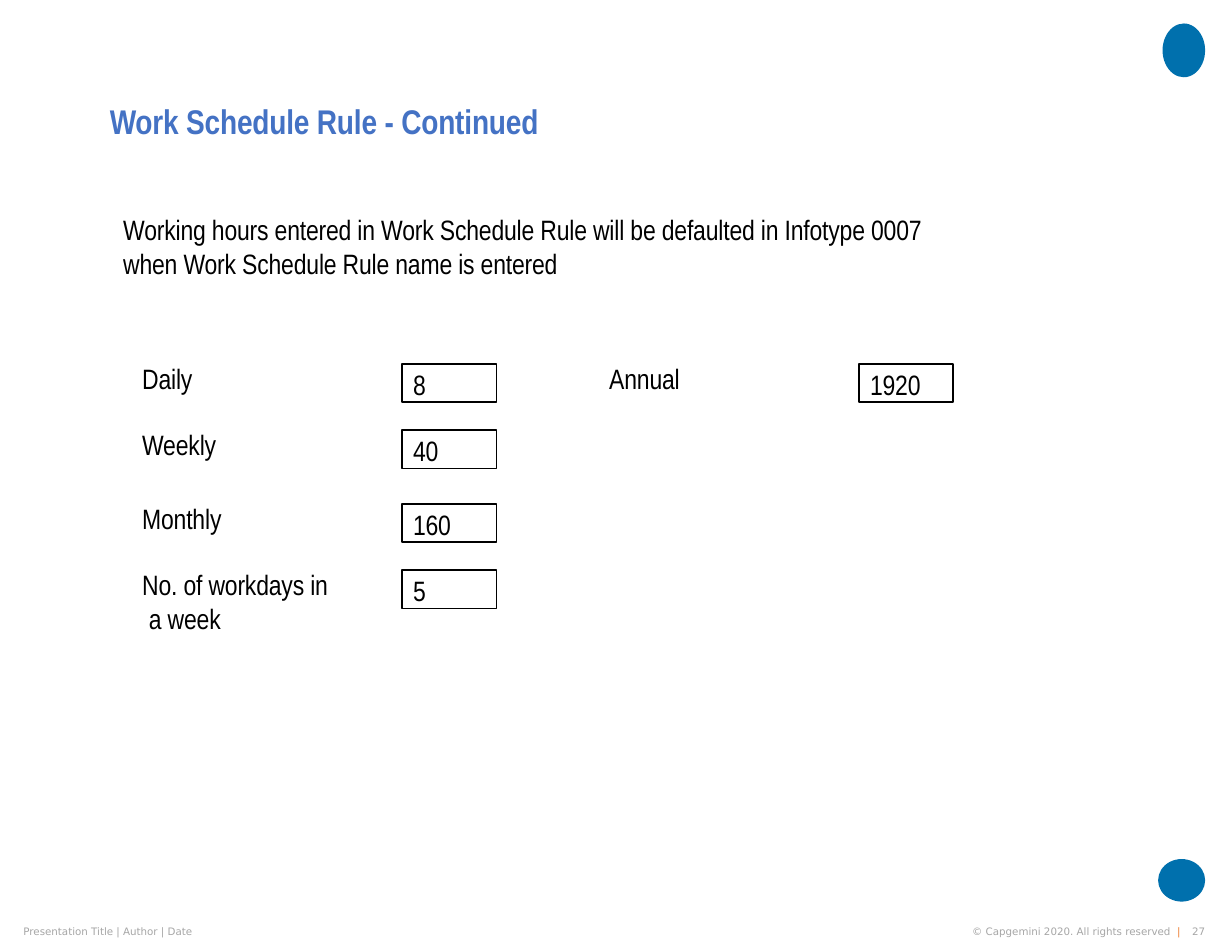
from pptx import Presentation
from pptx.dml.color import RGBColor
from pptx.enum.shapes import MSO_SHAPE as Shape
from pptx.enum.text import MSO_ANCHOR as Anchor, PP_ALIGN as Align
from pptx.util import Inches, Pt

COLORS = {
    "title": "4472C4",
    "ink": "000000",
    "footer": "A6A6A6",
    "divider": "ED7D31",
    "mark": "0070AD",
}
BODY_FONT = "Arial Narrow"
FOOTER_FONT = "DejaVu Sans"


class ScheduleSlide:
    def __init__(self, deck):
        self.slide = deck.slides.add_slide(deck.slide_layouts[5])
        self.shapes = self.slide.shapes

    def color(self, name):
        return RGBColor.from_string(COLORS[name])

    def set_text(self, shape, runs, size, font, align=Align.LEFT, anchor=Anchor.TOP,
                 insets=(0.01, 0.03), bold=False, spacing=0, hanging=0):
        frame = shape.text_frame
        frame.word_wrap = True
        frame.vertical_anchor = anchor
        frame.margin_left, frame.margin_top = map(Inches, insets)
        frame.margin_right = frame.margin_bottom = 0
        paragraph = frame.paragraphs[0]
        paragraph.alignment = align
        if hanging:
            properties = paragraph._p.get_or_add_pPr()
            properties.set("marL", str(Inches(hanging)))
            properties.set("indent", str(-Inches(hanging)))
        for text, color in runs:
            run = paragraph.add_run()
            run.text = text
            run.font.size = Pt(size)
            run.font.name = font
            run.font.bold = bold
            run.font.color.rgb = self.color(color)
            if spacing:
                run._r.get_or_add_rPr().set("spc", str(spacing))

    def title(self, text, left, top, width, height):
        heading = self.shapes.title
        heading.left, heading.top = Inches(left), Inches(top)
        heading.width, heading.height = Inches(width), Inches(height)
        self.set_text(heading, [(text, "title")], 22, BODY_FONT,
                      anchor=Anchor.MIDDLE, bold=True, spacing=-10)

    def text_box(self, left, top, width, height):
        return self.shapes.add_textbox(
            Inches(left), Inches(top), Inches(width), Inches(height))

    def body(self, text, left, top, width, height=0.33, hanging=0):
        self.set_text(self.text_box(left, top, width, height), [(text, "ink")],
                      18, BODY_FONT, spacing=-10, hanging=hanging)

    def footer(self, runs, left, top, width, height, align=Align.LEFT):
        self.set_text(self.text_box(left, top, width, height), runs, 6.6,
                      FOOTER_FONT, align, Anchor.MIDDLE, insets=(0, 0))

    def preset(self, kind, left, top, width, height):
        shape = self.shapes.add_shape(
            kind, Inches(left), Inches(top), Inches(width), Inches(height))
        shape.shadow.inherit = False
        return shape

    def value_box(self, value, left, top):
        field = self.preset(Shape.RECTANGLE, left, top, 0.84, 0.34)
        field.fill.background()
        field.line.color.rgb = self.color("ink")
        field.line.width = Pt(0.75)
        self.set_text(field, [(value, "ink")], 18, BODY_FONT,
                      insets=(0.1, 0.03), spacing=-10)

    def mark(self, left, top, width, height):
        badge = self.preset(Shape.OVAL, left, top, width, height)
        badge.fill.solid()
        badge.fill.fore_color.rgb = self.color("mark")
        badge.line.fill.background()


def main():
    deck = Presentation()
    deck.slide_width, deck.slide_height = Inches(11), Inches(8.5)
    page = ScheduleSlide(deck)

    page.mark(10.38, 0.21, 0.38, 0.48)
    page.mark(10.34, 7.67, 0.42, 0.38)
    page.footer([("27", "footer")], 10.6, 8.26, 0.16, 0.11, Align.RIGHT)
    page.footer([("© Capgemini 2020. All rights reserved  ", "footer"),
                 ("|", "divider")], 8.14, 8.24, 2.4, 0.15, Align.RIGHT)
    page.footer([("Presentation Title | Author | Date", "footer")],
                0.21, 8.24, 4.26, 0.15)

    page.title("Work Schedule Rule - Continued", 0.97, 0.87, 5.95, 0.38)
    page.body("Working hours entered in Work Schedule Rule will be defaulted in "
              "Infotype 0007 when Work Schedule Rule name is entered",
              1.09, 1.87, 7.29, 0.63)

    label_left, value_left = 1.26, 3.59
    hours = [
        ("Daily", "8", 3.2, 0.48),
        ("Weekly", "40", 3.79, 0.7),
        ("Monthly", "160", 4.45, 0.74),
    ]
    for period, value, top, width in hours:
        page.body(period, label_left, top, width)
        page.value_box(value, value_left, top + 0.05)

    page.body("No. of workdays in a week", label_left, 5.04, 1.72, 0.63, hanging=0.06)
    page.value_box("5", value_left, 5.09)
    page.body("Annual", 5.43, 3.2, 0.66)
    page.value_box("1920", 7.67, 3.25)

    deck.save("out.pptx")


if __name__ == "__main__":
    main()
